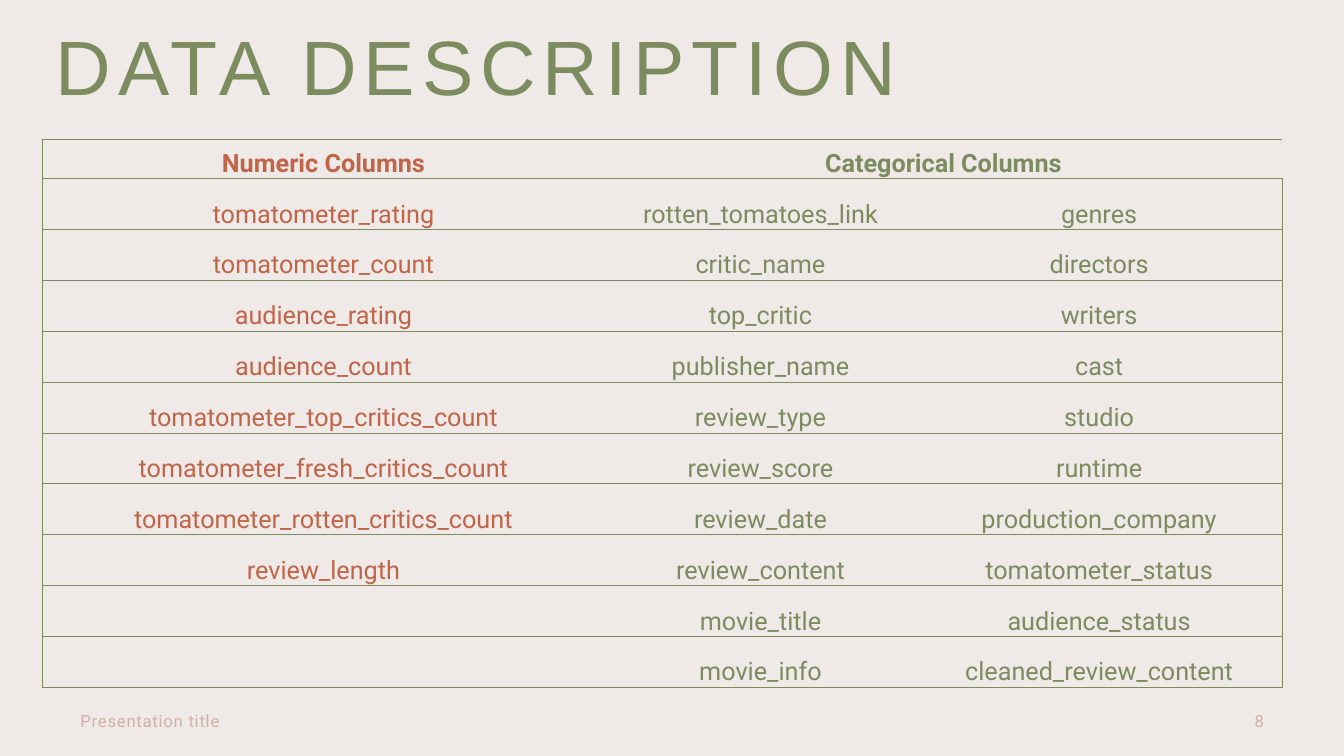
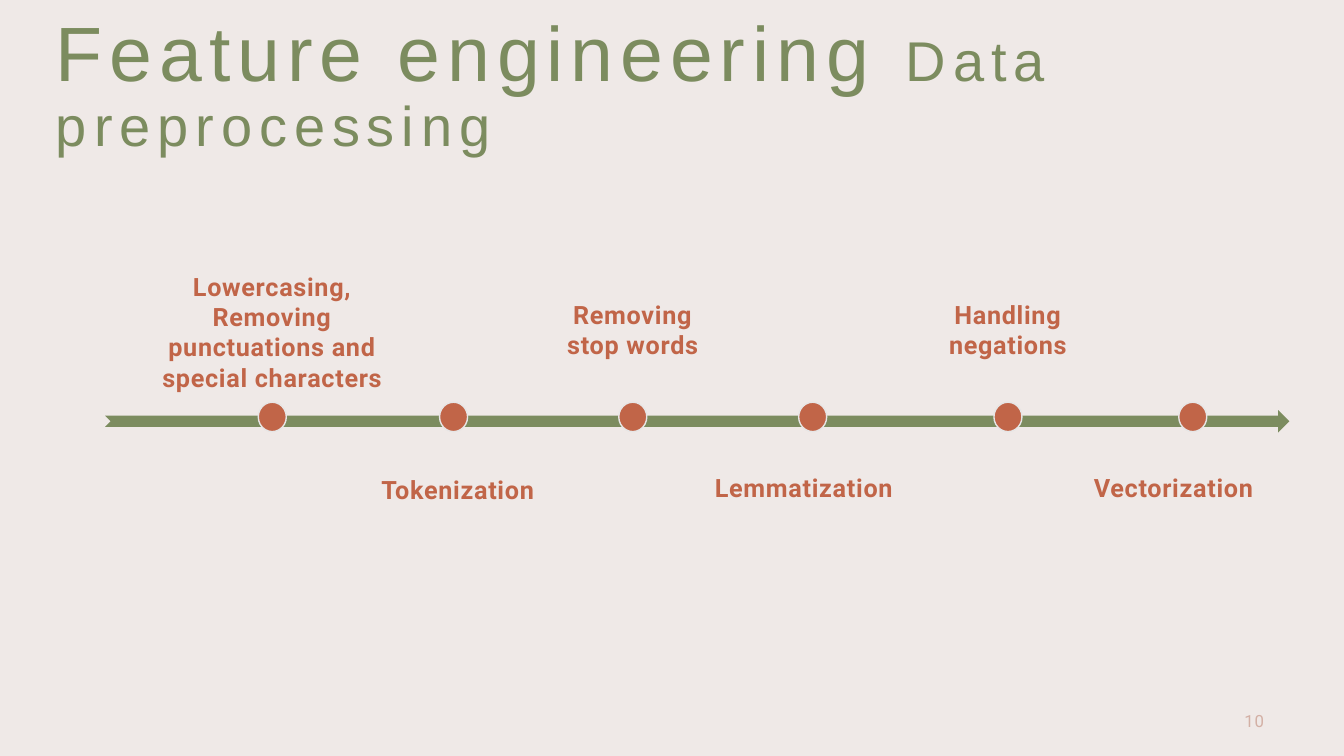
from lxml import etree
from pptx import Presentation
from pptx.dml.color import RGBColor
from pptx.enum.shapes import MSO_SHAPE as Shape
from pptx.enum.text import MSO_ANCHOR as Anchor, PP_ALIGN as Align
from pptx.oxml.ns import qn
from pptx.util import Pt

# Shared colours and text styles
CREAM = RGBColor(0xEF, 0xE9, 0xE7)
GREEN = RGBColor(0x7C, 0x8C, 0x5F)
RUST = RGBColor(0xC1, 0x65, 0x48)
BLUSH = RGBColor(0xD3, 0xB0, 0xA5)
GREY = RGBColor(0xE7, 0xE6, 0xE6)

TITLE = {"name": "Arial", "size": Pt(55), "color": GREEN, "spacing": 5}
SUBTITLE = {**TITLE, "size": Pt(40)}
FOOTER = {"name": "Roboto", "size": Pt(12), "color": BLUSH, "spacing": 0.5}
CELL = {"name": "Roboto", "size": Pt(18), "bold": False}
LABEL = {"name": "Roboto", "size": Pt(18), "bold": True, "color": RUST, "spacing": 0.5}

# Table content
HEADERS = ["Numeric Columns", "Categorical Columns", ""]
NUMERIC = [
    "tomatometer_rating", "tomatometer_count", "audience_rating", "audience_count",
    "tomatometer_top_critics_count", "tomatometer_fresh_critics_count",
    "tomatometer_rotten_critics_count", "review_length", "", "",
]
REVIEW = [
    "rotten_tomatoes_link", "critic_name", "top_critic", "publisher_name", "review_type",
    "review_score", "review_date", "review_content", "movie_title", "movie_info",
]
MOVIE = [
    "genres", "directors", "writers", "cast", "studio", "runtime", "production_company",
    "tomatometer_status", "audience_status", "cleaned_review_content",
]

# Timeline steps, measured from the arrow's left and top:
# dot centre, text, label left, label edge nearest the arrow, label width, alignment
STEPS = [
    (119.5, "Lowercasing, Removing punctuations and special characters",
     27.3, -2.8, 184.3, Align.CENTER),
    (249, "Tokenization", 183, 36, 138, Align.CENTER),
    (377, "Removing stop words", 313, -26, 128, Align.CENTER),
    (505.5, "Lemmatization", 425.6, 34.6, 155, Align.LEFT),
    (645, "Handling negations", 584, -26, 122, Align.CENTER),
    (777, "Vectorization", 696.3, 34.6, 155, Align.LEFT),
]


def add_run(paragraph, text, style):
    run = paragraph.add_run()
    run.text = text
    for key, value in style.items():
        if key == "color":
            run.font.color.rgb = value
        elif key == "spacing":
            run._r.get_or_add_rPr().set("spc", str(int(value * 100)))
        else:
            setattr(run.font, key, value)


def set_margins(target, left, top, right, bottom):
    margins = {"left": left, "top": top, "right": right, "bottom": bottom}
    for side, value in margins.items():
        setattr(target, f"margin_{side}", Pt(value))


def add_text(slide, box, runs, margins=(7.2, 3.6, 7.2, 3.6), anchor=Anchor.TOP, **format_values):
    frame = slide.shapes.add_textbox(*map(Pt, box)).text_frame
    frame.word_wrap = True
    frame.vertical_anchor = anchor
    set_margins(frame, *margins)
    paragraph = frame.paragraphs[0]
    for key, value in format_values.items():
        setattr(paragraph, key, value)
    for text, style in runs:
        add_run(paragraph, text, style)


def add_title(slide, top, runs):
    add_text(slide, (40, top, 860, 72), runs, (0, 0, 0, 0), line_spacing=0.9)


def add_footer(slide, number, text=None):
    if text:
        add_text(slide, (50.4, 500.4, 324, 28.8), [(text, FOOTER)], anchor=Anchor.MIDDLE)
    add_text(slide, (694, 500.4, 216, 28.8), [(number, FOOTER)],
             anchor=Anchor.MIDDLE, alignment=Align.RIGHT)


def set_borders(cell, visible_sides):
    properties = cell._tc.get_or_add_tcPr()
    for position, side in enumerate("LRTB"):
        line = etree.Element(qn(f"a:ln{side}"), w=str(Pt(0.5)))
        if side in visible_sides:
            fill = etree.SubElement(line, qn("a:solidFill"))
            etree.SubElement(fill, qn("a:srgbClr"), val=str(GREEN))
        else:
            etree.SubElement(line, qn("a:noFill"))
        properties.insert(position, line)


def add_column_table(slide, left, top, widths, header_height, row_height):
    rows = [HEADERS, *zip(NUMERIC, REVIEW, MOVIE)]
    height = header_height + row_height * (len(rows) - 1)
    table = slide.shapes.add_table(
        len(rows), len(widths), Pt(left), Pt(top), Pt(sum(widths)), Pt(height)).table
    table.first_row = table.horz_banding = False
    for column, width in zip(table.columns, widths):
        column.width = Pt(width)
    for row_index, texts in enumerate(rows):
        table.rows[row_index].height = Pt(row_height if row_index else header_height)
        for column_index, text in enumerate(texts):
            cell = table.cell(row_index, column_index)
            cell.fill.solid()
            cell.fill.fore_color.rgb = CREAM
            cell.vertical_anchor = Anchor.BOTTOM
            set_margins(cell, 0.7, 0.7, 0.7, 0)
            set_borders(cell, "TB" + {0: "L", 2: "R"}.get(column_index, ""))
            if text:
                paragraph = cell.text_frame.paragraphs[0]
                paragraph.alignment = Align.CENTER
                color = GREEN if column_index else RUST
                add_run(paragraph, text, {**CELL, "color": color, "bold": row_index == 0})
    table.cell(0, 1).merge(table.cell(0, 2))


def add_filled_shape(slide, kind, box, color, outline=None):
    shape = slide.shapes.add_shape(kind, *map(Pt, box))
    shape.shadow.inherit = False
    shape.fill.solid()
    shape.fill.fore_color.rgb = color
    if outline:
        shape.line.color.rgb = outline
        shape.line.width = Pt(1)
    else:
        shape.line.fill.background()


def add_timeline(slide, left, top, width, height):
    add_filled_shape(slide, Shape.NOTCHED_RIGHT_ARROW, (left, top, width, height), GREEN)
    dot_width, dot_height, label_height = 20, 21, 124
    for centre, text, label_left, edge, label_width, alignment in STEPS:
        dot = (left + centre - dot_width / 2, top - 5.7, dot_width, dot_height)
        add_filled_shape(slide, Shape.OVAL, dot, RUST, GREY)
        above = edge < 0
        label_top = top + edge - (label_height if above else 0)
        add_text(slide, (left + label_left, label_top, label_width, label_height),
                 [(text, LABEL)], (10, 10, 10, 10),
                 Anchor.BOTTOM if above else Anchor.TOP, alignment=alignment)


def build_description(slide):
    add_footer(slide, "8", "Presentation title")
    add_column_table(slide, 30.2, 99.5, (401.8, 222.5, 261.3), 28, 36.36)
    add_title(slide, 21, [("DATA DESCRIPTION", TITLE)])


def build_preprocessing(slide):
    add_footer(slide, "10")
    add_timeline(slide, 75, 293, 846, 16)
    add_title(slide, 10.8, [("Feature engineering ", TITLE), ("Data preprocessing", SUBTITLE)])


def main():
    presentation = Presentation()
    presentation.slide_width, presentation.slide_height = Pt(960), Pt(540)
    background = presentation.slide_master.background.fill
    background.solid()
    background.fore_color.rgb = CREAM
    for build in (build_description, build_preprocessing):
        build(presentation.slides.add_slide(presentation.slide_layouts[6]))
    presentation.save("out.pptx")


if __name__ == "__main__":
    main()
